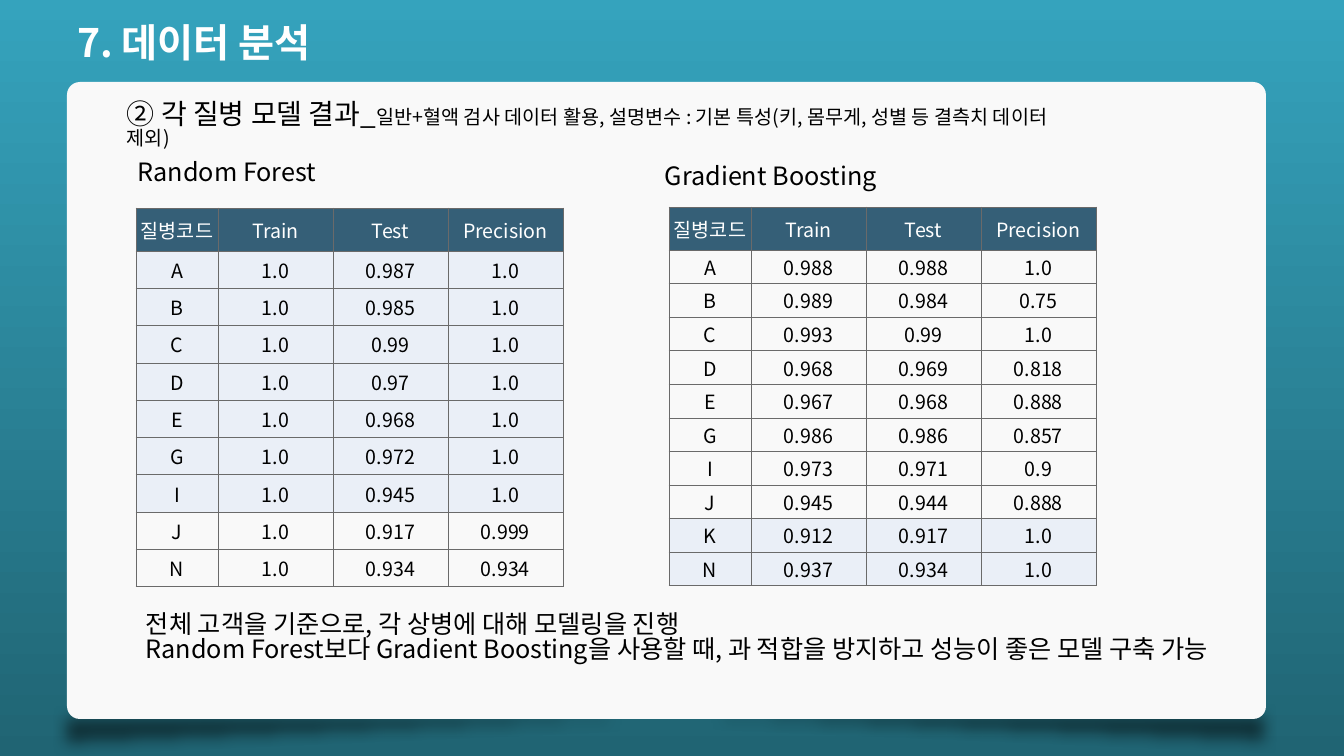
from lxml.etree import SubElement
from pptx import Presentation
from pptx.dml.color import RGBColor
from pptx.enum.shapes import MSO_SHAPE as SHAPE
from pptx.enum.text import MSO_ANCHOR as ANCHOR, MSO_AUTO_SIZE as AUTO, PP_ALIGN as ALIGN
from pptx.oxml import parse_xml
from pptx.oxml.ns import nsdecls, qn
from pptx.util import Pt

SCALE = 914400 / 100.8  # EMU per pixel
FONT = "Noto Sans CJK KR"
WHITE = RGBColor(0xFF, 0xFF, 0xFF)
BLACK = RGBColor(0, 0, 0)
SKY = RGBColor(0x35, 0xA3, 0xBD)
TEAL = RGBColor(0x20, 0x64, 0x73)
CARD = RGBColor(0xF9, 0xF9, 0xF9)
HEADER = RGBColor(0x35, 0x5F, 0x77)
BEST = RGBColor(0xEA, 0xEF, 0xF7)
GRID = RGBColor(0x6A, 0x6A, 0x6A)

COLUMNS = ["질병코드", "Train", "Test", "Precision"]
FOREST = """A 1.0 0.987 1.0
B 1.0 0.985 1.0
C 1.0 0.99 1.0
D 1.0 0.97 1.0
E 1.0 0.968 1.0
G 1.0 0.972 1.0
I 1.0 0.945 1.0
J 1.0 0.917 0.999
N 1.0 0.934 0.934"""
BOOSTING = """A 0.988 0.988 1.0
B 0.989 0.984 0.75
C 0.993 0.99 1.0
D 0.968 0.969 0.818
E 0.967 0.968 0.888
G 0.986 0.986 0.857
I 0.973 0.971 0.9
J 0.945 0.944 0.888
K 0.912 0.917 1.0
N 0.937 0.934 1.0"""


def px(n):
    return round(n * SCALE)


def add_run(p, text, size, color=BLACK, bold=False):
    r = p.add_run()
    r.text = text
    r.font.color.rgb = color
    for name, value in {"size": Pt(size), "bold": bold, "name": FONT}.items():
        setattr(r.font, name, value)
    SubElement(r.font._element, qn("a:ea"), typeface=FONT)


def fill_text(sp, paragraphs):
    """Each paragraph is a list of run arguments."""
    tf = sp.text_frame
    frame = {"word_wrap": True, "auto_size": AUTO.SHAPE_TO_FIT_TEXT,
             "vertical_anchor": ANCHOR.TOP}
    for name, value in frame.items():
        setattr(tf, name, value)
    for i, runs in enumerate(paragraphs):
        p = tf.add_paragraph() if i else tf.paragraphs[0]
        for name, value in {"alignment": ALIGN.LEFT, "line_spacing": 0.83}.items():
            setattr(p, name, value)
        for run in runs:
            add_run(p, *run)


def add_text(s, x, y, w, h, paragraphs):
    fill_text(s.shapes.add_textbox(px(x), px(y), px(w), px(h)), paragraphs)


def add_panel(s, kind, x, y, w, h, color):
    sp = s.shapes.add_shape(kind, px(x), px(y), px(w), px(h))
    sp.shadow.inherit = False
    sp.fill.solid()
    sp.fill.fore_color.rgb = color
    sp.line.fill.background()
    return sp


def add_card_shadow(s, x, y, flips):
    sp = add_panel(s, SHAPE.RIGHT_TRIANGLE, x, y, 1212, 50, BLACK)
    for flip in flips:
        sp._element.spPr.xfrm.set(flip, "1")
    color = sp._element.spPr.find(".//" + qn("a:srgbClr"))
    SubElement(color, qn("a:alpha"), val="51000")
    effects = sp._element.spPr.find(qn("a:effectLst"))
    SubElement(effects, qn("a:softEdge"), rad="127000")


def style_cell(cell, text, color, fill):
    margins = ("margin_left", "margin_right", "margin_top", "margin_bottom")
    for name, value in {**dict.fromkeys(margins, px(2)),
                        "vertical_anchor": ANCHOR.MIDDLE}.items():
        setattr(cell, name, value)
    if fill is None:
        cell.fill.background()
    else:
        cell.fill.solid()
        cell.fill.fore_color.rgb = fill
    p = cell.text_frame.paragraphs[0]
    p.alignment = ALIGN.CENTER
    add_run(p, text, 14, color)
    for i, side in enumerate("LRTB"):
        border = parse_xml(
            f'<a:ln{side} {nsdecls("a")} w="{Pt(0.5)}"><a:solidFill>'
            f'<a:srgbClr val="{GRID}"/></a:solidFill></a:ln{side}>')
        cell._tc.get_or_add_tcPr().insert(i, border)


def add_scores(s, x, y, scores, best):
    """Score table; the codes in best get a tinted row."""
    rows = [COLUMNS] + [line.split() for line in scores.splitlines()]
    widths, head, height = [82, 115, 115, 115], 43, 379
    table = s.shapes.add_table(len(rows), len(widths), px(x), px(y),
                               px(sum(widths)), px(height)).table
    for name in ("first_row", "horz_banding"):
        setattr(table, name, False)
    for column, w in zip(table.columns, widths):
        column.width = px(w)
    for i, values in enumerate(rows):
        table.rows[i].height = px((height - head) / (len(rows) - 1) if i else head)
        tint = BEST if values[0] in best else None
        for j, text in enumerate(values):
            color, fill = (BLACK, tint) if i else (WHITE, HEADER)
            style_cell(table.cell(i, j), text, color, fill)


def set_background(s):
    fill = s.background.fill
    fill.gradient()
    fill.gradient_angle = 270
    for stop, position, color in zip(fill.gradient_stops, (0, 1), (SKY, TEAL)):
        stop.position = position
        stop.color.rgb = color


def main():
    prs = Presentation()
    prs.slide_width, prs.slide_height = px(1344), px(756)
    s = prs.slides.add_slide(prs.slide_layouts[5])
    set_background(s)

    # Title
    title = s.shapes.title
    box = {"left": 67, "top": 21, "width": 758, "height": 57}
    for name, value in box.items():
        setattr(title, name, px(value))
    fill_text(title, [[("7. 데이터 분석", 28, WHITE, True)]])

    # Card with its curled shadow
    add_card_shadow(s, 65, 704, ("flipH", "flipV"))
    add_card_shadow(s, 54, 706, ("flipV",))
    card = add_panel(s, SHAPE.ROUNDED_RECTANGLE, 67, 82, 1199, 637, CARD)
    card.adjustments[0] = 0.02

    # Headings
    add_text(s, 117, 97, 978, 44, [[
        ("② 각 질병 모델 결과_", 20),
        ("일반+혈액 검사 데이터 활용, 설명변수 : 기본 특성(키, 몸무게, "
         "성별 등 결측치 데이터 제외)", 14)]])
    add_text(s, 128, 157, 205, 40, [[("Random Forest", 18)]])
    add_text(s, 655, 160, 277, 40, [[("Gradient Boosting", 18)]])

    # Scores per model
    add_scores(s, 136, 208, FOREST, "ABCDEGI")
    add_scores(s, 669, 207, BOOSTING, "KN")

    # Conclusion
    add_text(s, 136, 608, 1118, 72, [
        [("전체 고객을 기준으로, 각 상병에 대해 모델링을 진행", 18)],
        [("Random Forest보다 Gradient Boosting을 사용할 때, 과 적합을 "
          "방지하고 성능이 좋은 모델 구축 가능", 18)]])

    prs.save("out.pptx")


main()
